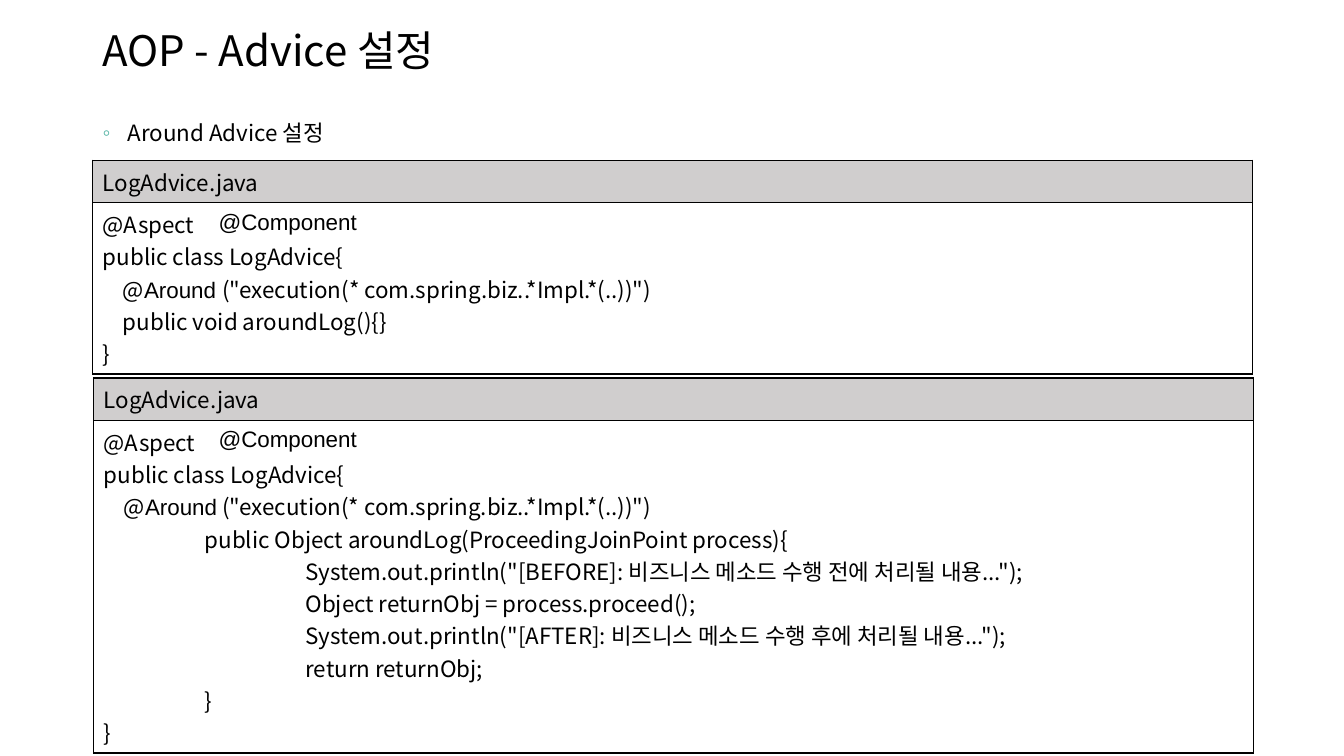
from dataclasses import dataclass

from lxml import etree
from pptx import Presentation
from pptx.dml.color import RGBColor
from pptx.enum.text import MSO_ANCHOR, MSO_AUTO_SIZE
from pptx.oxml.ns import qn
from pptx.util import Inches, Pt

TOP, MIDDLE = MSO_ANCHOR.TOP, MSO_ANCHOR.MIDDLE
FIT = MSO_AUTO_SIZE.SHAPE_TO_FIT_TEXT


@dataclass(frozen=True)
class Theme:
    ink: str = "000000"
    head: str = "D0CECE"
    mark: str = "4BB0A0"
    main: str = "Noto Sans CJK KR"
    alt: str = "Arial"
    title: int = 30
    body: int = 16
    edge: int = 1


THEME = Theme()
LEFT, WIDTH = 0.92, 11.5
HEAD, LINE, PAD = 0.42, 0.32, 0.1

FILE = "LogAdvice.java"
START = ["@Aspect", "public class LogAdvice{"]
RULE = '("execution(* com.spring.biz..*Impl.*(..))")'
# A line is a string, or a list of (text, font) parts.
SHORT = START + [
    [("    @", THEME.main), ("Around ", THEME.alt), (RULE, THEME.main)],
    "    public void aroundLog(){}",
    "}",
]
FULL = START + [
    [("    @", THEME.main), ("Around", THEME.alt), (" " + RULE, THEME.main)],
    "\tpublic Object aroundLog(ProceedingJoinPoint process){",
    '\t\tSystem.out.println("[BEFORE]: 비즈니스 메소드 수행 전에 처리될 내용...");',
    "\t\tObject returnObj = process.proceed();",
    '\t\tSystem.out.println("[AFTER]: 비즈니스 메소드 수행 후에 처리될 내용...");',
    "\t\treturn returnObj;",
    "\t}",
    "}",
]


def add_node(parent, tag, **attrs):
    return etree.SubElement(parent, qn(tag), attrs)


def add_bullet(para):
    props = para._p.get_or_add_pPr()
    props.set("marL", str(Inches(0.25)))
    props.set("indent", str(Inches(-0.25)))
    add_node(add_node(props, "a:buClr"), "a:srgbClr", val=THEME.mark)
    add_node(props, "a:buFont", typeface=THEME.alt)
    add_node(props, "a:buChar", char="◦")


def add_tabs(para, count):
    """Set tab stops one inch apart."""
    stops = add_node(para._p.get_or_add_pPr(), "a:tabLst")
    for i in range(count):
        add_node(stops, "a:tab", pos=str(Inches(i + 1)), algn="l")


def write(frame, lines, size=THEME.body, font=THEME.main, space=None, bullet=False):
    """Fill a text frame with one paragraph a line."""
    for i, line in enumerate(lines):
        para = frame.add_paragraph() if i else frame.paragraphs[0]
        if space:
            para.line_spacing = space
        if bullet:
            add_bullet(para)
        if "\t" in line:
            add_tabs(para, line.count("\t"))
        for text, face in [(line, font)] if isinstance(line, str) else line:
            run = para.add_run()
            run.text = text
            run.font.size = Pt(size)
            run.font.name = face
            run.font.color.rgb = RGBColor.from_string(THEME.ink)
            add_node(run._r.get_or_add_rPr(), "a:ea", typeface=THEME.main)


def add_text(slide, box, text, anchor=TOP, wrap=True, **form):
    frame = slide.shapes.add_textbox(*map(Inches, box)).text_frame
    frame.word_wrap = wrap
    frame.vertical_anchor = anchor
    if not wrap:
        frame.auto_size = FIT
    write(frame, [text], **form)


def add_edges(cell):
    props = cell._tc.get_or_add_tcPr()
    for side in "LRTB":
        edge = add_node(props, f"a:ln{side}", w=str(Pt(THEME.edge)))
        add_node(add_node(edge, "a:solidFill"), "a:srgbClr", val=THEME.ink)


def add_code(slide, left, top, lines):
    """Add a listing: a file name row above a row of code."""
    rows = [HEAD, LINE * len(lines) + PAD]
    frame = slide.shapes.add_table(
        2, 1, Inches(left), Inches(top), Inches(WIDTH), Inches(sum(rows)))
    table = frame.table
    table.first_row = table.horz_banding = False
    for i, (tall, text) in enumerate(zip(rows, ([FILE], lines))):
        table.rows[i].height = Inches(tall)
        cell = table.cell(i, 0)
        add_edges(cell)
        if i:
            cell.fill.background()
        else:
            cell.fill.solid()
            cell.fill.fore_color.rgb = RGBColor.from_string(THEME.head)
        write(cell.text_frame, text)


def main():
    deck = Presentation()
    deck.slide_width, deck.slide_height = Inches(13.33), Inches(7.5)
    slide = deck.slides.add_slide(deck.slide_layouts[6])
    add_text(slide, (LEFT, 0.15, WIDTH, 0.76), "AOP - Advice 설정",
             anchor=MIDDLE, size=THEME.title, space=0.9)
    add_text(slide, (LEFT, 1.08, WIDTH, 5.67), "Around Advice 설정",
             space=1.2, bullet=True)
    add_code(slide, LEFT, 1.59, SHORT)
    add_code(slide, 0.93, 3.75, FULL)
    for top in (2.02, 4.17):
        add_text(slide, (2.07, top, 1.59, 0.37), "@Component",
                 wrap=False, font=THEME.alt)
    deck.save("out.pptx")


if __name__ == "__main__":
    main()
